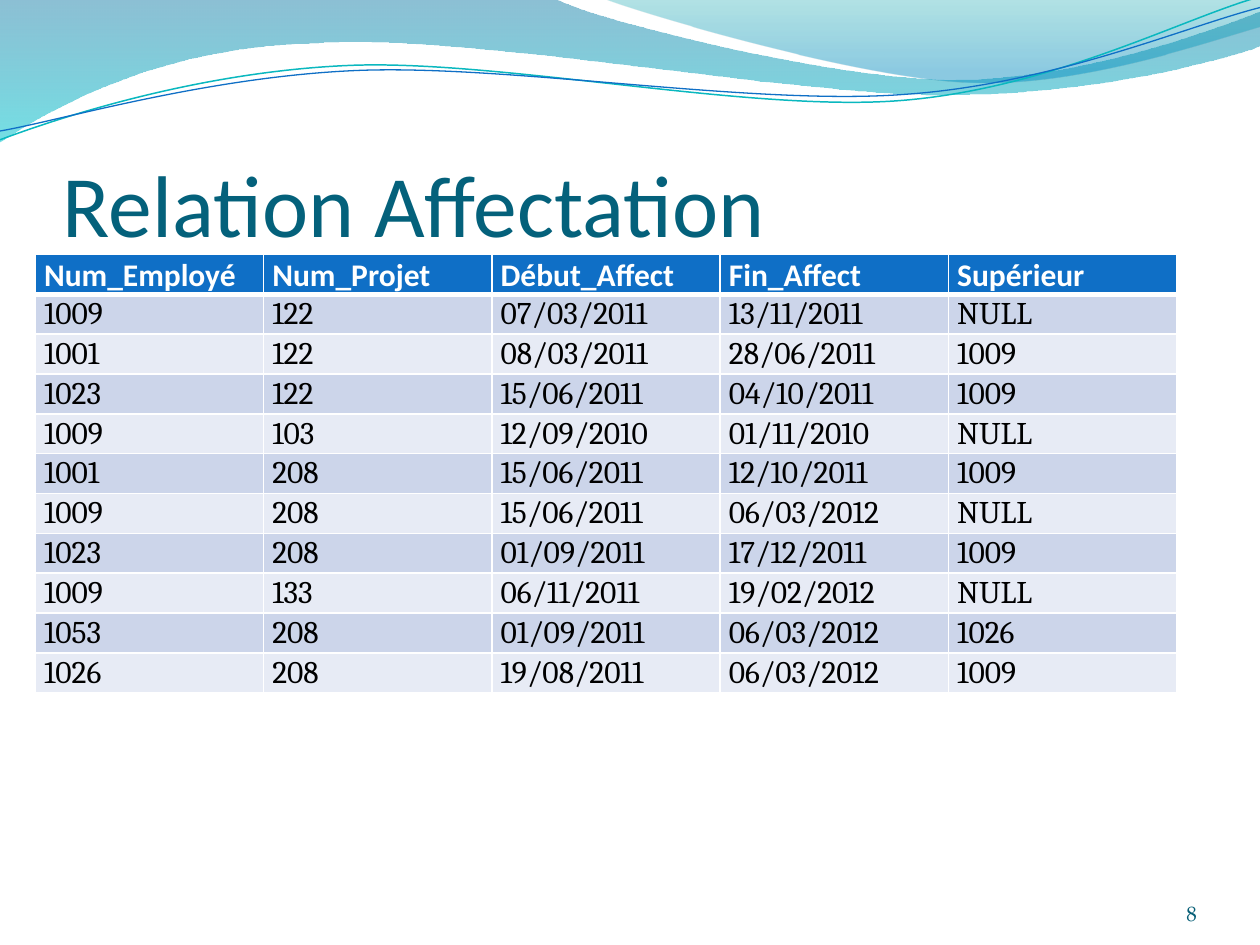
import dataclasses

import lxml.etree
import pptx
import pptx.dml.color
import pptx.enum.text
import pptx.oxml.ns
import pptx.util

COLUMNS, ROWS = 10, 7.5


@dataclasses.dataclass(frozen=True)
class Theme:
    title: str = "04617B"
    number: str = "045D75"
    header: str = "0F6FC6"
    header_text: str = "FFFFFF"
    body_text: str = "000000"
    border: str = "FFFFFF"
    bands: tuple = ("CCD5EA", "E7EBF5")
    wide_wave: tuple = ((0, "0074A1", 45), (1, "00C6CF", 55))
    right_wave: tuple = ((0, "00A1A9", 30), (0.8, "008BBF", 45))
    teal_line: str = "0AB8BF"
    blue_line: str = "0F6FC6"
    heading_font: str = "Calibri"
    body_font: str = "Cambria"
    number_font: str = "TeX Gyre Pagella"
    title_size: float = 50
    table_size: float = 18
    number_size: float = 12


@dataclasses.dataclass(frozen=True)
class Box:
    left: float
    top: float
    width: float
    height: float


THEME = Theme()
UNIT = pptx.util.Inches(10) / COLUMNS

HEADINGS = ("Num_Employé", "Num_Projet", "Début_Affect", "Fin_Affect", "Supérieur")
ASSIGNMENTS = (
    ("1009", "122", "07/03/2011", "13/11/2011", "NULL"),
    ("1001", "122", "08/03/2011", "28/06/2011", "1009"),
    ("1023", "122", "15/06/2011", "04/10/2011", "1009"),
    ("1009", "103", "12/09/2010", "01/11/2010", "NULL"),
    ("1001", "208", "15/06/2011", "12/10/2011", "1009"),
    ("1009", "208", "15/06/2011", "06/03/2012", "NULL"),
    ("1023", "208", "01/09/2011", "17/12/2011", "1009"),
    ("1009", "133", "06/11/2011", "19/02/2012", "NULL"),
    ("1053", "208", "01/09/2011", "06/03/2012", "1026"),
    ("1026", "208", "19/08/2011", "06/03/2012", "1009"),
)

WIDE_WAVE = (
    (0, 0), (4.4, -0.01),
    (4.76, 0.17, 6.64, 0.63, 7.58, 0.63), (8.53, 0.63, 9.58, 0.26, 10, 0.09),
    (10.01, 0.36),
    (9.83, 0.44, 8.7, 0.76, 7.46, 0.75), (6.22, 0.75, 3.82, 0.28, 2.57, 0.34),
    (1.29, 0.36, 0.46, 0.83, -0.01, 1.13),
)
RIGHT_WAVE = (
    (4.79, -0.01),
    (5.09, 0.11, 6.82, 0.62, 7.69, 0.65), (8.56, 0.69, 9.61, 0.32, 10, 0.21),
    (10, 0),
)
TEAL_LINE = (
    (0, 1.11),
    (0.48, 0.93, 1.58, 0.57, 2.77, 0.52), (3.95, 0.47, 5.93, 0.89, 7.13, 0.8),
    (8.33, 0.71, 9.38, 0.15, 9.98, -0.02),
)
BLUE_LINE = (
    (0, 1.04),
    (0.47, 0.96, 1.64, 0.61, 2.83, 0.56), (4.03, 0.51, 5.97, 0.84, 7.17, 0.75),
    (8.36, 0.67, 9.41, 0.21, 10, 0.06),
)


def length(units):
    return pptx.util.Emu(round(units * UNIT))


def place(box):
    return [length(side) for side in dataclasses.astuple(box)]


def rgb(value):
    return pptx.dml.color.RGBColor.from_string(value)


def add_xml(parent, tag, **attributes):
    return lxml.etree.SubElement(parent, pptx.oxml.ns.qn(tag), **attributes)


def set_font(paragraph, name, size, color, bold=False):
    paragraph.font.name = name
    paragraph.font.size = pptx.util.Pt(size)
    paragraph.font.color.rgb = rgb(color)
    paragraph.font.bold = bold


def bend_lines(shape, segments):
    lines = iter(list(shape.element.spPr.iter(pptx.oxml.ns.qn("a:lnTo"))))
    for segment in segments:
        group = [next(lines) for _ in range(len(segment) // 2)]
        if len(group) == 1:
            continue
        outline = group[0].getparent()
        curve = add_xml(outline, "a:cubicBezTo")
        group[0].addprevious(curve)
        for line in group:
            curve.append(line[0])
            outline.remove(line)


def add_outline(slide, box, segments, closed):
    points = [
        (length(box.left + x), length(box.top + y))
        for segment in segments
        for x, y in zip(segment[::2], segment[1::2])
    ]
    builder = slide.shapes.build_freeform(*points[0])
    builder.add_line_segments(points[1:], close=closed)
    shape = builder.convert_to_shape()
    shape.shadow.inherit = False
    bend_lines(shape, segments[1:])
    return shape


def add_waves(slide, box):
    for segments, stops in ((WIDE_WAVE, THEME.wide_wave), (RIGHT_WAVE, THEME.right_wave)):
        shape = add_outline(slide, box, segments, True)
        shape.line.fill.background()
        shape.fill.gradient()
        shape.fill.gradient_angle = 270
        for stop, (position, color, opacity) in zip(shape.fill.gradient_stops, stops):
            stop.position = position
            stop.color.rgb = rgb(color)
        colors = shape.element.spPr.iter(pptx.oxml.ns.qn("a:srgbClr"))
        for element, (position, color, opacity) in zip(colors, stops):
            add_xml(element, "a:alpha", val=str(opacity * 1000))
    for segments, color, width in (
        (TEAL_LINE, THEME.teal_line, 0.85), (BLUE_LINE, THEME.blue_line, 0.75),
    ):
        shape = add_outline(slide, box, segments, False)
        shape.fill.background()
        shape.line.color.rgb = rgb(color)
        shape.line.width = pptx.util.Pt(width)


def add_label(slide, box, text, alignment, font, top_inset=0):
    frame = slide.shapes.add_textbox(*place(box)).text_frame
    frame.word_wrap = True
    frame.vertical_anchor = pptx.enum.text.MSO_ANCHOR.BOTTOM
    frame.margin_left = frame.margin_right = frame.margin_bottom = 0
    frame.margin_top = length(top_inset)
    paragraph = frame.paragraphs[0]
    paragraph.text = text
    paragraph.alignment = alignment
    set_font(paragraph, *font)


def add_borders(cell, row):
    properties = cell._tc.get_or_add_tcPr()
    widths = {"L": 1, "R": 1, "T": 3 if row == 1 else 1, "B": 3 if row == 0 else 1}
    for side, width in widths.items():
        line = add_xml(properties, f"a:ln{side}", w=str(pptx.util.Pt(width)))
        add_xml(add_xml(line, "a:solidFill"), "a:srgbClr", val=THEME.border)


def add_assignment_table(slide, box):
    records = (HEADINGS,) + ASSIGNMENTS
    table = slide.shapes.add_table(len(records), len(HEADINGS), *place(box)).table
    for column in table.columns:
        column.width = length(box.width / len(HEADINGS))
    for row, record in enumerate(records):
        table.rows[row].height = length(box.height / len(records))
        if row == 0:
            fill, font = THEME.header, (THEME.heading_font, THEME.table_size, THEME.header_text, True)
        else:
            fill = THEME.bands[(row - 1) % 2]
            font = (THEME.body_font, THEME.table_size, THEME.body_text)
        for column, text in enumerate(record):
            cell = table.cell(row, column)
            cell.margin_left = cell.margin_right = length(0.07)
            cell.margin_top = cell.margin_bottom = 0
            add_borders(cell, row)
            cell.fill.solid()
            cell.fill.fore_color.rgb = rgb(fill)
            paragraph = cell.text_frame.paragraphs[0]
            paragraph.text = text
            paragraph.line_spacing = 1.05
            set_font(paragraph, *font)


def main():
    presentation = pptx.Presentation()
    presentation.slide_width, presentation.slide_height = length(COLUMNS), length(ROWS)
    slide = presentation.slides.add_slide(presentation.slide_layouts[6])
    align = pptx.enum.text.PP_ALIGN
    add_waves(slide, Box(0, 0, COLUMNS, 1.14))
    add_label(slide, Box(0.5, 0.77, 9, 1.25), "Relation Affectation", align.LEFT,
              (THEME.heading_font, THEME.title_size, THEME.title), 0.05)
    add_label(slide, Box(8.67, 6.95, 0.83, 0.4), "8", align.RIGHT,
              (THEME.number_font, THEME.number_size, THEME.number))
    add_assignment_table(slide, Box(0.28, 2.02, 9.06, 3.48))
    presentation.save("out.pptx")


if __name__ == "__main__":
    main()
